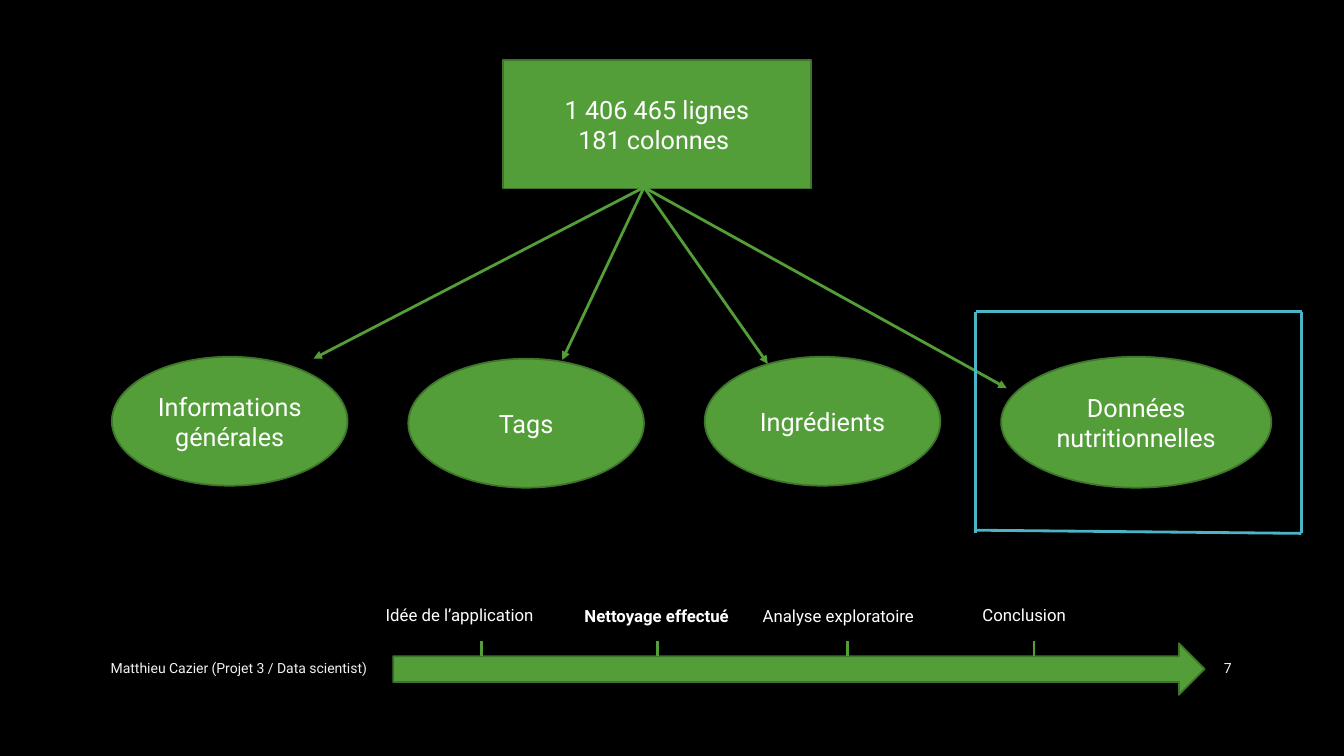
from dataclasses import dataclass

from lxml import etree
from pptx import Presentation
from pptx.dml.color import RGBColor
from pptx.enum import shapes, text
from pptx.oxml import ns
from pptx.util import Cm, Pt


@dataclass(frozen=True)
class Theme:
    """Colours, font and type sizes of the slide."""
    back: str = "000000"
    green: str = "549E39"
    edge: str = "3E752A"
    blue: str = "4AB5C4"
    white: str = "FFFFFF"
    pale: str = "F2F2F2"
    font: str = "Roboto"
    node: int = 18
    step: int = 12
    foot: int = 10
    rim: float = 1.25
    line: int = 2


THEME = Theme()
KIND = shapes.MSO_SHAPE
SIDE = text.PP_ALIGN
MID = text.MSO_ANCHOR.MIDDLE


def tint(code):
    """Turn a hex code into a colour."""
    return RGBColor.from_string(code)


def write(frame, lines, size, color, align=SIDE.LEFT, bold=False):
    """Fill a text frame with one paragraph per line."""
    frame.word_wrap = True
    frame.text = "\n".join(lines)
    for para in frame.paragraphs:
        para.alignment = align
        font = para.font
        font.name, font.size, font.bold = THEME.font, Pt(size), bold
        font.color.rgb = tint(color)


def label(parts, box, words, size, color, **style):
    """Place a text box and return its frame."""
    frame = parts.add_textbox(*map(Cm, box)).text_frame
    write(frame, [words], size, color, **style)
    return frame


def block(parts, kind, box, lines=()):
    """Place a green shape with optional centred text."""
    shape = parts.add_shape(kind, *map(Cm, box))
    shape.shadow.inherit = False
    shape.fill.solid()
    shape.fill.fore_color.rgb = tint(THEME.green)
    shape.line.color.rgb = tint(THEME.edge)
    shape.line.width = Pt(THEME.rim)
    if lines:
        write(shape.text_frame, lines, THEME.node, THEME.white, SIDE.CENTER)
        shape.text_frame.vertical_anchor = MID


def line(parts, start, end, color, arrow=False):
    """Draw a straight line, with an arrowhead at its end if asked."""
    link = parts.add_connector(shapes.MSO_CONNECTOR.STRAIGHT,
                               *map(Cm, (*start, *end)))
    link.line.color.rgb = tint(color)
    link.line.width = Pt(THEME.line)
    if arrow:
        tail = etree.SubElement(link.line._get_or_add_ln(), ns.qn("a:tailEnd"))
        tail.set("type", "triangle")
    etree.SubElement(link._element.spPr, ns.qn("a:effectLst"))


def footer(parts, box):
    """Place the author and the page number at the two ends of the box."""
    left, top, width, height = box
    cells = [(left, 18.54, "Matthieu Cazier (Projet 3 / Data scientist)", SIDE.LEFT),
             (left + width - 2.08, 2.08, "7", SIDE.RIGHT)]
    for x, wide, words, align in cells:
        frame = label(parts, (x, top, wide, height), words,
                      THEME.foot, THEME.pale, align=align)
        frame.vertical_anchor = MID


def timeline(parts, box):
    """Draw the progress arrow with its ticks and step names."""
    left, top, width, height = box
    deep = 1.3
    base = top + height - deep
    block(parts, KIND.RIGHT_ARROW, (left, base, width, deep))
    steps = [("Idée de l’application", 2.23, -0.44, 0, 5.03),
             ("Nettoyage effectué", 6.65, 4.57, 0.03, 4.5),
             ("Analyse exploratoire", 11.45, 9.06, 0.03, 5.03),
             ("Conclusion", 16.15, 14.6, 0, 3.07)]
    for name, tick, shift, drop, wide in steps:
        x = left + tick
        line(parts, (x, base - 0.06), (x, base + 0.31), THEME.green)
        frame = label(parts, (left + shift, top + drop, wide, 0.76), name,
                      THEME.step, THEME.white, bold=name == "Nettoyage effectué")
        frame.auto_size = text.MSO_AUTO_SIZE.SHAPE_TO_FIT_TEXT


def tree(parts, box):
    """Draw the data set, its four groups and the arrows between them."""
    left, top, width, height = box
    block(parts, KIND.RECTANGLE, (left + 9.85, top, 7.77, 3.23),
          ["1 406 465 lignes", "181 colonnes "])
    row = top + 7.47
    leaves = [("Informations générales", 0, 5.94, 3.25, (5.08, 7.52)),
              ("Tags", 0.05, 5.94, 3.25, (11.35, 7.55)),
              ("Ingrédients", 0, 5.94, 3.25, (16.53, 7.65)),
              ("Données nutritionnelles", 0, 6.81, 3.3, (22.55, 8.26))]
    pitch = (width - leaves[-1][2]) / (len(leaves) - 1)
    for i, (name, drop, wide, high, tip) in enumerate(leaves):
        block(parts, KIND.OVAL, (left + i * pitch, row + drop, wide, high), [name])
        line(parts, (left + 13.41, top + 3.2), (left + tip[0], top + tip[1]),
             THEME.green, arrow=True)


def outline(parts, box):
    """Frame the chosen group with four lines."""
    left, top, width, height = box
    right, low = left + width, top + height
    nodes = [(left, low - 0.08), (right, low), (right, top), (left, top), (left, low)]
    for start, end in zip(nodes, nodes[1:]):
        line(parts, start, end, THEME.blue)


def main():
    """Build and save the slide."""
    deck = Presentation()
    deck.slide_width, deck.slide_height = Cm(33.87), Cm(19.05)
    slide = deck.slides.add_slide(deck.slide_layouts[6])
    slide.background.fill.solid()
    slide.background.fill.fore_color.rgb = tint(THEME.back)
    footer(slide.shapes, (2.54, 16.33, 28.75, 1.02))
    timeline(slide.shapes.add_group_shape().shapes, (9.91, 15.11, 20.45, 2.4))
    graph = slide.shapes.add_group_shape().shapes
    tree(graph, (2.82, 1.52, 29.22, 10.77))
    outline(graph, (24.59, 7.85, 8.21, 5.59))
    deck.save("out.pptx")


if __name__ == "__main__":
    main()
